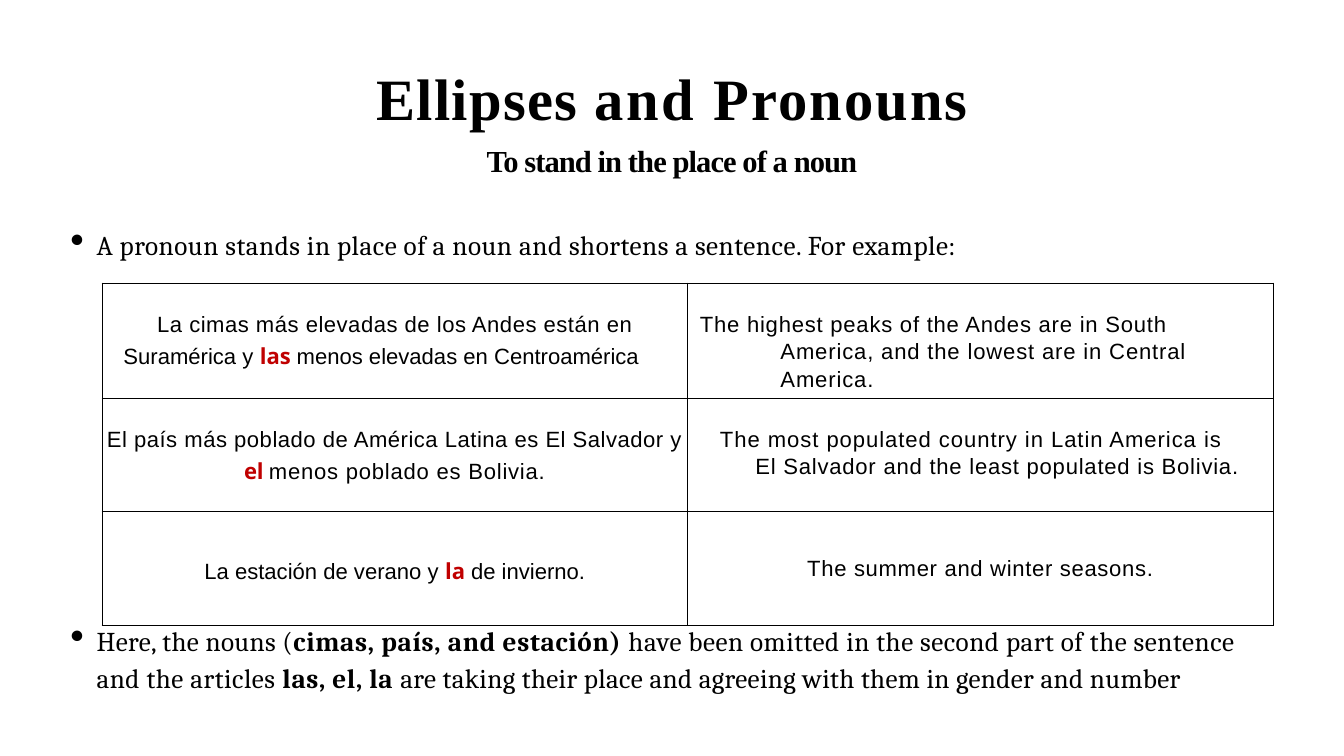
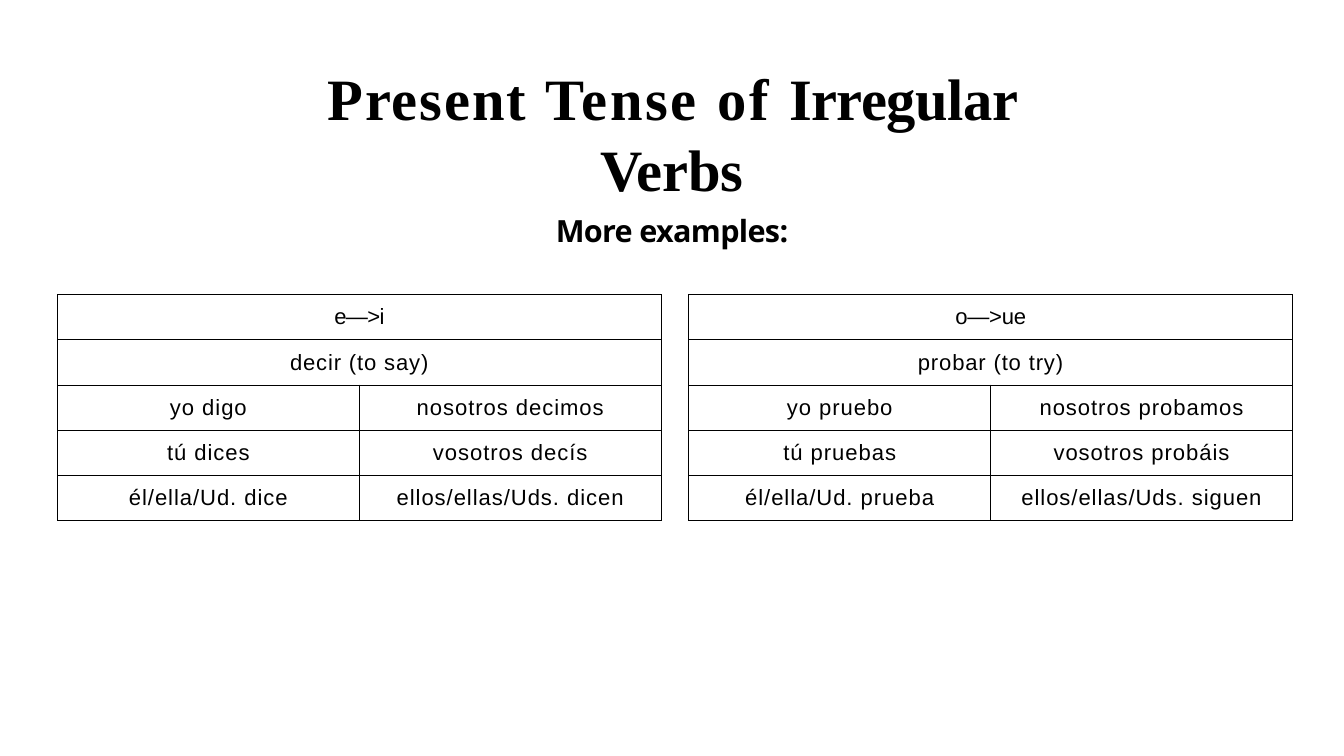
from dataclasses import dataclass

import lxml.etree
import pptx
import pptx.dml.color
import pptx.enum.text
import pptx.oxml.ns
import pptx.util

Inches = pptx.util.Inches
Pt = pptx.util.Pt
qn = pptx.oxml.ns.qn
CENTER = pptx.enum.text.PP_ALIGN.CENTER
LEFT = pptx.enum.text.PP_ALIGN.LEFT

COLORS = {"page": "FFFFFF", "ink": "000000", "accent": "C00000"}
SERIF, BODY, SANS, ACCENT = "Times New Roman", "Cambria", "Arial", "Open Sans"


@dataclass(frozen=True)
class Span:
    """Text with its letter spacing in points."""
    text: str
    spacing: float = 0
    bold: bool = False
    accent: bool = False
    new_line: bool = False


@dataclass(frozen=True)
class Para:
    """Paragraph with indents in inches and the space before in points."""
    spans: tuple[Span, ...]
    size: float = 26
    font: str = SANS
    align: int = CENTER
    left: float = 0
    first: float = 0
    line: float = 1
    before: float = 0
    bullet: bool = False


@dataclass(frozen=True)
class Cell:
    paras: tuple[Para, ...]
    top: float


@dataclass(frozen=True)
class Grid:
    left: float
    top: float
    column: float
    row: float
    rows: tuple[tuple[Cell, ...], ...]


def rgb(name: str) -> pptx.dml.color.RGBColor:
    return pptx.dml.color.RGBColor.from_string(COLORS[name])


# Text
def indent(paragraph, para: Para) -> None:
    properties = paragraph._p.get_or_add_pPr()
    properties.set("marL", str(Inches(para.left)))
    properties.set("indent", str(Inches(para.first)))
    if para.bullet:
        lxml.etree.SubElement(properties, qn("a:buSzPct"), val="148000")
        lxml.etree.SubElement(properties, qn("a:buChar"), char="•")


def write(frame, paras: tuple[Para, ...], top: float) -> None:
    frame.word_wrap = True
    frame.margin_left = frame.margin_right = frame.margin_bottom = 0
    frame.margin_top = Inches(top)
    for index, para in enumerate(paras):
        paragraph = frame.add_paragraph() if index else frame.paragraphs[0]
        paragraph.alignment = para.align
        paragraph.line_spacing = para.line
        paragraph.space_before = Pt(para.before)
        indent(paragraph, para)
        for span in para.spans:
            if span.new_line:
                paragraph.add_line_break()
            run = paragraph.add_run()
            run.text = span.text
            run.font.name = ACCENT if span.accent else para.font
            run.font.size = Pt(para.size)
            run.font.bold = span.bold or span.accent
            run.font.color.rgb = rgb("accent" if span.accent else "ink")
            run._r.get_or_add_rPr().set("spc", str(round(span.spacing * 100)))


def add_text(page, left: float, top: float, width: float, height: float,
             paras: tuple[Para, ...], inset: float) -> None:
    box = page.shapes.add_textbox(Inches(left), Inches(top), Inches(width), Inches(height))
    write(box.text_frame, paras, inset)


def add_page(deck, title: tuple[Span, ...], subtitle: Span, subtitle_font: str):
    page = deck.slides.add_slide(deck.slide_layouts[6])
    page.background.fill.solid()
    page.background.fill.fore_color.rgb = rgb("page")
    heading = (Para(title, 69, SERIF),
               Para((subtitle,), 36, subtitle_font, before=10.9))
    add_text(page, 4.19, 0.64, 13.61, 2.22, heading, 0.38)
    return page


def add_bullet(page, top: float, width: float, height: float,
               spans: tuple[Span, ...], line: float = 1) -> None:
    para = Para(spans, 32, BODY, LEFT, 0.45, -0.43, line, bullet=True)
    add_text(page, 1.13, top, width, height, (para,), 0.01)


# Tables
def add_borders(cell) -> None:
    properties = cell._tc.get_or_add_tcPr()
    for side in ("a:lnL", "a:lnR", "a:lnT", "a:lnB"):
        border = lxml.etree.SubElement(properties, qn(side), w=str(Pt(1)))
        fill = lxml.etree.SubElement(border, qn("a:solidFill"))
        lxml.etree.SubElement(fill, qn("a:srgbClr"), val=COLORS["ink"])


def add_grid(page, grid: Grid) -> None:
    count = len(grid.rows)
    table = page.shapes.add_table(
        count, 2, Inches(grid.left), Inches(grid.top),
        Inches(2 * grid.column), Inches(count * grid.row)).table
    table.first_row = table.horz_banding = False
    for column in table.columns:
        column.width = Inches(grid.column)
    for row_index, cells in enumerate(grid.rows):
        table.rows[row_index].height = Inches(grid.row)
        for column_index in range(2):
            target = table.cell(row_index, column_index)
            add_borders(target)
            target.fill.background()
        if len(cells) == 1:
            table.cell(row_index, 0).merge(table.cell(row_index, 1))
        for column_index, content in enumerate(cells):
            target = table.cell(row_index, column_index)
            target.margin_left = target.margin_right = target.margin_bottom = 0
            write(target.text_frame, content.paras, content.top)
            target.margin_top = Inches(content.top)


def verb_cell(text: str, spacing: float = 1.1) -> Cell:
    return Cell((Para((Span(text, spacing),)),), 0.17)


def verb_grid(left: float, change: Cell, verb: str,
              forms: tuple[tuple[str, str], ...]) -> Grid:
    rows = tuple(tuple(verb_cell(form) for form in pair) for pair in forms)
    return Grid(left, 4.82, 4.94, 0.74, ((change,), (verb_cell(verb, 1),)) + rows)


# Content
EXAMPLES = (
    (Cell((Para((Span("La cimas más elevadas de los Andes están en ", 0.6),
                 Span("Suramérica y "), Span("las ", accent=True),
                 Span("menos elevadas en Centroamérica")),
                align=LEFT, left=0.35, first=0.55, line=1.11),), 0.44),
     Cell((Para((Span("The highest peaks of the Andes are in South", 0.9),
                 Span("America, and the lowest are in Central America.", 1, new_line=True)),
                align=LEFT, left=1.52, first=-1.32, line=1.11),), 0.44)),
    (Cell((Para((Span("El país más poblado de América Latina es El Salvador y", 0.6),)),
           Para((Span("el ", -0.5, accent=True),
                 Span("menos poblado es Bolivia.", 0.9)), before=3.4)), 0.49),
     Cell((Para((Span("The most populated country in Latin America is", 1.1),
                 Span("El Salvador and the least populated is Bolivia.", 0.9, new_line=True)),
                align=LEFT, left=1.11, first=-0.58, line=1.11),), 0.44)),
    (Cell((Para((Span("La estación de verano y "), Span("la ", accent=True),
                 Span("de invierno."))),), 0.73),
     Cell((Para((Span("The summer and winter seasons.", 0.8),)),), 0.73)),
)

OMISSION = (
    Span("Here, the nouns (", 0.4),
    Span("cimas, país, and estación)", 0.8, bold=True),
    Span(" have been omitted in the second part of the sentence and the articles ", 0.6),
    Span("las, el, la ", 0.7, bold=True),
    Span("are taking their place and agreeing with them in gender and number", 0.4),
)

VERBS = (
    verb_grid(0.94, verb_cell("e—>i", -0.8), "decir (to say)",
              (("yo digo", "nosotros decimos"),
               ("tú dices", "vosotros decís"),
               ("él/ella/Ud. dice", "ellos/ellas/Uds. dicen"))),
    verb_grid(11.27, verb_cell("o—>ue", -0.3), "probar (to try)",
              (("yo pruebo", "nosotros probamos"),
               ("tú pruebas", "vosotros probáis"),
               ("él/ella/Ud. prueba", "ellos/ellas/Uds. siguen"))),
)


def add_pronouns(deck) -> None:
    title = (Span("Ellipses ", 1.6, True), Span("and ", 2.9, True), Span("Pronouns", 2.4, True))
    page = add_page(deck, title, Span("To stand in the place of a noun", -1.1, True), SERIF)
    add_bullet(page, 3.73, 15.56, 0.56, (
        Span("A pronoun stands in place of a noun and shortens a sentence. For example:", 0.6),))
    add_bullet(page, 10.15, 19.43, 1.82, OMISSION, 1.12)
    add_grid(page, Grid(1.67, 4.63, 9.58, 1.86, EXAMPLES))


def add_irregular_verbs(deck) -> None:
    title = (Span("Present ", 2.3, True), Span("Tense ", 3.2, True), Span("of ", 3.3, True),
             Span("Irregular ", -0.6, True), Span("Verbs", -0.2, True))
    page = add_page(deck, title, Span("More examples:", -0.8, True), ACCENT)
    for grid in VERBS:
        add_grid(page, grid)


def main() -> None:
    deck = pptx.Presentation()
    deck.slide_width = Inches(21.99)
    deck.slide_height = Inches(12.37)
    add_pronouns(deck)
    add_irregular_verbs(deck)
    deck.save("out.pptx")


if __name__ == "__main__":
    main()
